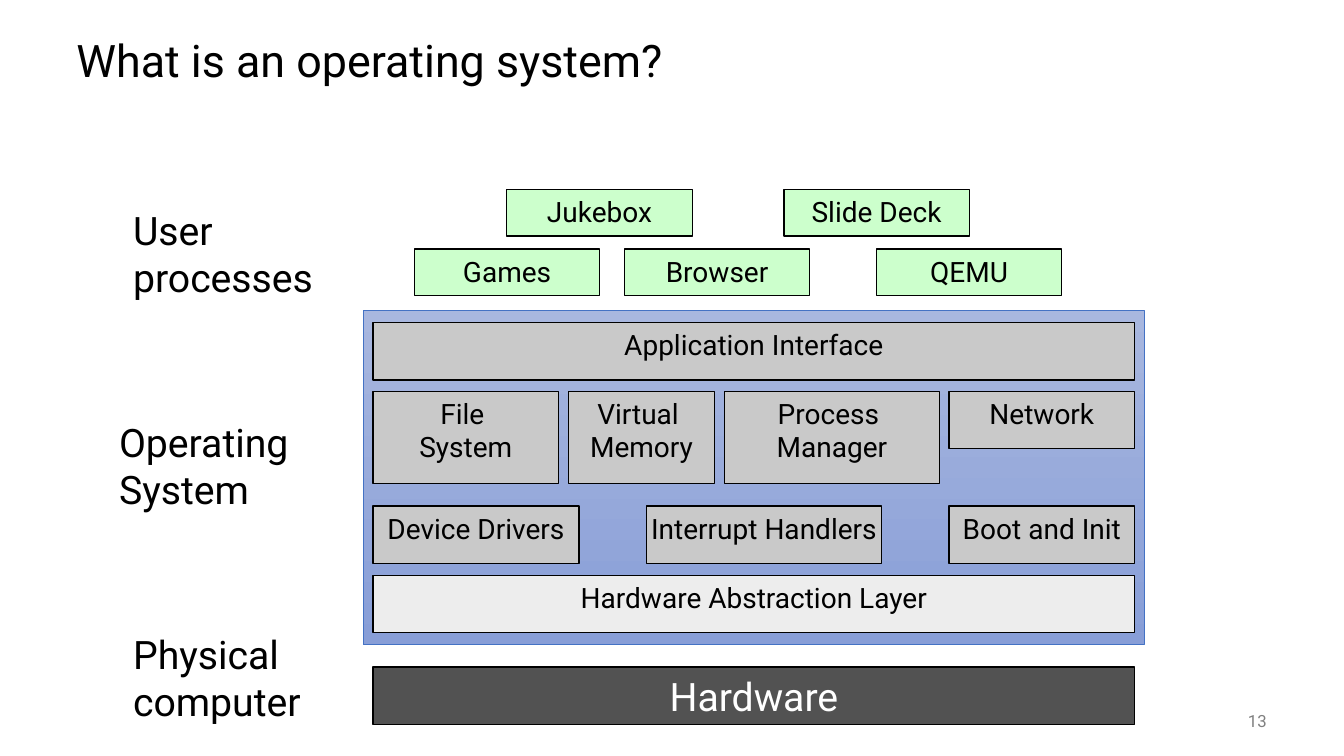
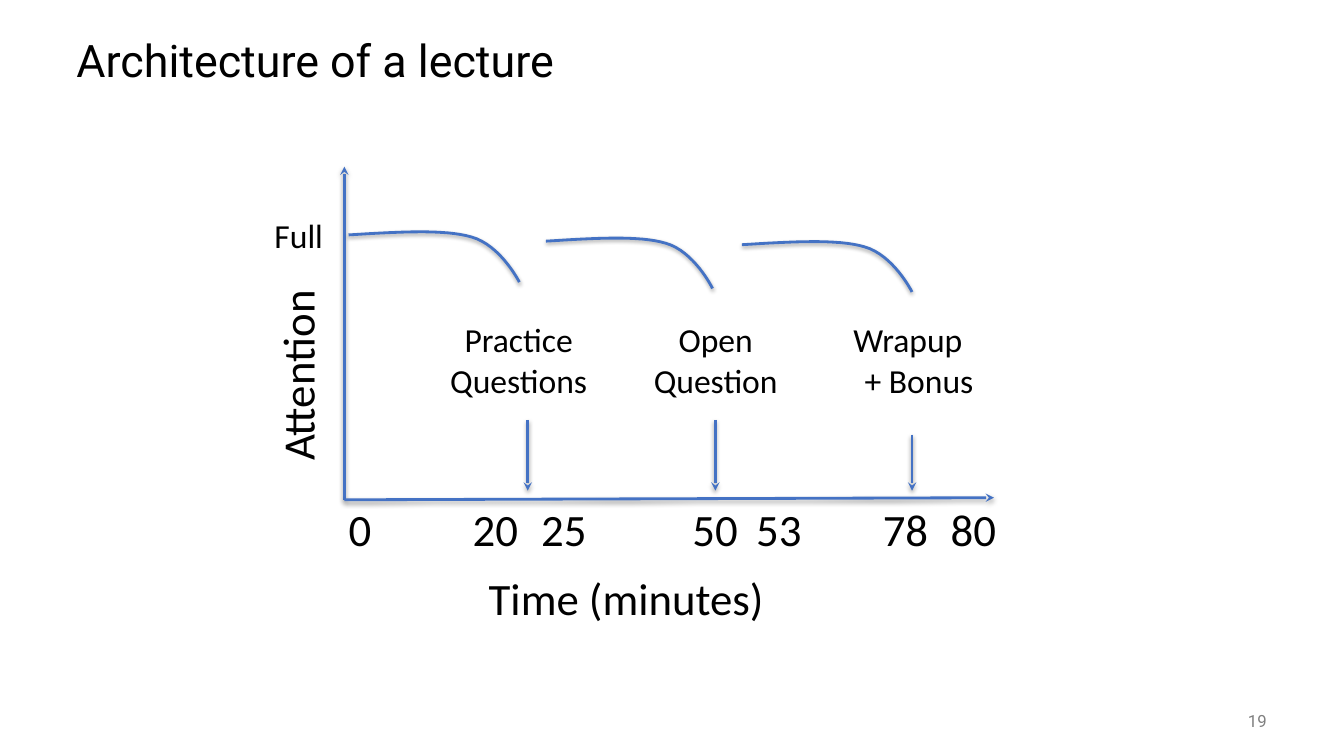
from lxml.etree import SubElement
from pptx import Presentation
from pptx.dml.color import RGBColor
from pptx.enum.shapes import MSO_CONNECTOR, MSO_SHAPE
from pptx.enum.text import MSO_ANCHOR, PP_ALIGN
from pptx.oxml.ns import qn
from pptx.util import Pt

HEADING_FONT = "Roboto"
CHART_FONT = "Calibri"
BLACK = "000000"
WHITE = "FFFFFF"
GRAY = "808080"
BLUE = "4472C4"
GREEN = "CCFFCC"
SILVER = "C9C9C9"
PALE = "EDEDED"
CHARCOAL = "525252"
PANEL_TOP = "A8B7DF"
PANEL_BOTTOM = "889ED7"


def color(value):
    return RGBColor.from_string(value)


def place(box):
    return [Pt(round(length, 2)) for length in box]


def write(paragraph, text, size, font=HEADING_FONT, ink=BLACK, align=PP_ALIGN.LEFT):
    paragraph.alignment = align
    for index, line in enumerate(text.split("\n")):
        if index:
            paragraph.add_line_break()
        run = paragraph.add_run()
        run.text = line
        run.font.size = Pt(size)
        run.font.name = font
        run.font.color.rgb = color(ink)


def add_label(slide, box, text, size, anchor=MSO_ANCHOR.TOP, **style):
    shape = slide.shapes.add_textbox(*place(box))
    frame = shape.text_frame
    frame.word_wrap = True
    frame.vertical_anchor = anchor
    write(frame.paragraphs[0], text, size, **style)
    return shape


def add_rectangle(slide, box, line, width):
    shape = slide.shapes.add_shape(MSO_SHAPE.RECTANGLE, *place(box))
    shape.shadow.inherit = False
    shape.line.color.rgb = color(line)
    shape.line.width = Pt(width)
    return shape


def add_block(slide, box, text, fill=SILVER, size=20, ink=BLACK):
    shape = add_rectangle(slide, box, BLACK, 1)
    shape.fill.solid()
    shape.fill.fore_color.rgb = color(fill)
    frame = shape.text_frame
    frame.word_wrap = False
    frame.vertical_anchor = MSO_ANCHOR.TOP
    write(frame.paragraphs[0], text, size, ink=ink, align=PP_ALIGN.CENTER)


def add_block_row(slide, left, top, width, blocks):
    gap = (width - sum(block[1] for block in blocks)) / (len(blocks) - 1)
    for text, block_width, height in blocks:
        add_block(slide, (left, top, block_width, height), text)
        left += block_width + gap


def style_stroke(shape):
    shape.line.color.rgb = color(BLUE)
    shape.line.width = Pt(2)
    properties = shape._element.spPr
    for effects in properties.findall(qn("a:effectLst")):
        properties.remove(effects)
    effects = SubElement(properties, qn("a:effectLst"))
    shadow = SubElement(
        effects, qn("a:outerShdw"), blurRad=str(Pt(3.1)), dist=str(Pt(1.6)),
        dir="5400000", rotWithShape="0")
    ink = SubElement(shadow, qn("a:srgbClr"), val=BLACK)
    SubElement(ink, qn("a:alpha"), val="37000")


def add_arrow(slide, *ends):
    arrow = slide.shapes.add_connector(MSO_CONNECTOR.STRAIGHT, *place(ends))
    style_stroke(arrow)
    SubElement(arrow.line._get_or_add_ln(), qn("a:tailEnd"), type="stealth")


def bezier(points, steps=16):
    for step in range(1, steps + 1):
        t = step / steps
        weights = ((1 - t) ** 3, 3 * t * (1 - t) ** 2, 3 * t * t * (1 - t), t ** 3)
        yield tuple(
            sum(weight * point[axis] for weight, point in zip(weights, points))
            for axis in (0, 1))


def add_attention_curve(slide, left, top, width):
    outline = ((0, 4.3), (0.28, 2.2), (0.56, 0), (0.72, 5.8),
               (0.89, 11.5), (1, 38), (1, 38))
    points = [(left + x * width, top + y) for x, y in outline]
    vertices = [*bezier(points[:4]), *bezier(points[3:])]
    builder = slide.shapes.build_freeform(*place(points[0]), scale=1.0)
    builder.add_line_segments([place(vertex) for vertex in vertices], close=False)
    curve = builder.convert_to_shape()
    curve.fill.background()
    style_stroke(curve)


def add_base_slide(presentation, title, number):
    slide = presentation.slides.add_slide(presentation.slide_layouts[6])
    heading = add_label(slide, (47.5, 18, 864, 54), title, 32, MSO_ANCHOR.MIDDLE)
    heading.text_frame.paragraphs[0].line_spacing = 0.9
    add_label(slide, (840, 500.5, 72, 29), number, 12, MSO_ANCHOR.MIDDLE,
              ink=GRAY, align=PP_ALIGN.RIGHT)
    return slide


def add_user_processes(slide, left, top):
    rows = (
        (0, ((66, "Jukebox"), (264, "Slide Deck"))),
        (42.5, ((0, "Games"), (150, "Browser"), (330, "QEMU"))),
    )
    for row_top, processes in rows:
        for offset, name in processes:
            add_block(slide, (left + offset, top + row_top, 132.5, 33), name, GREEN)


def add_operating_system(slide, left, top, width, height):
    panel = add_rectangle(slide, (left, top, width, height), BLUE, 0.5)
    panel.fill.gradient()
    panel.fill.gradient_angle = 270
    for stop, shade, position in zip(
            panel.fill.gradient_stops, (PANEL_TOP, PANEL_BOTTOM), (0, 1)):
        stop.color.rgb = color(shade)
        stop.position = position
    left, width = left + 7, width - 14
    add_block(slide, (left, top + 8.5, width, 41), "Application Interface")
    add_block_row(slide, left, top + 57.5, width, (
        ("File \nSystem", 132.5, 66),
        ("Virtual \nMemory", 104.5, 66),
        ("Process \nManager", 153.5, 66),
        ("Network", 132.5, 41),
    ))
    add_block_row(slide, left, top + 139.5, width, (
        ("Device Drivers", 147, 41),
        ("Interrupt Handlers", 168, 41),
        ("Boot and Init", 132.5, 41),
    ))
    add_block(slide, (left, top + 189, width, 41), "Hardware Abstraction Layer", PALE)


def build_system_slide(presentation):
    slide = add_base_slide(presentation, "What is an operating system?", "13")
    for left, top, text in (
            (88, 144, "User processes"),
            (78, 295.5, "Operating System"),
            (88, 447, "Physical computer")):
        add_label(slide, (left, top, 160, 75), text, 28)
    add_user_processes(slide, 296, 135.5)
    add_operating_system(slide, 259.5, 222, 558, 238.5)
    add_block(slide, (266.5, 476.5, 544, 41), "Hardware", CHARCOAL, 28, WHITE)


def add_activity(slide, box, text, arrow, align=PP_ALIGN.CENTER):
    label = add_label(slide, box, text, 24, font=CHART_FONT, align=align)
    x, start, end = arrow
    add_arrow(slide, x, start, x, end)
    return label


def add_attention_plot(slide, left, top, width, height):
    bottom = top + height
    add_arrow(slide, left, bottom, left, top)
    add_arrow(slide, left, bottom, left + width, bottom - 1.5)
    for offset, minute in ((-4, "0"), (84.5, "20"), (133.5, "25"), (241.5, "50"),
                           (287, "53"), (377.5, "78"), (426, "80")):
        add_label(slide, (left + offset, bottom - 2, 48, 46), minute, 32, font=CHART_FONT)
    for x, y, curve_width in ((3, 44.5, 122), (144, 49, 119), (284, 51.5, 121.5)):
        add_attention_curve(slide, left + x, top + y, curve_width)
    for x, label_width, text, arrow_x, arrow_y, align in (
            (44, 161, "Practice Questions", 131, 181, PP_ALIGN.CENTER),
            (205.5, 119.5, "Open\nQuestion", 265, 181, PP_ALIGN.CENTER),
            (356.5, 108, "Wrapup", 405.5, 191.5, PP_ALIGN.LEFT)):
        label = add_activity(
            slide, (left + x, top + 105.5, label_width, 65.5), text,
            (left + arrow_x, top + arrow_y, bottom - 6.5), align)
    write(label.text_frame.add_paragraph(), "+ Bonus", 24, CHART_FONT,
          align=PP_ALIGN.CENTER)
    add_label(slide, (left - 57, top + 31, 52, 36), "Full", 24, font=CHART_FONT)
    attention = add_label(slide, (left - 105, top + 123, 142.5, 46),
                          "Attention", 32, font=CHART_FONT)
    attention.rotation = 270
    add_label(slide, (left + 96, bottom + 47, 213, 46), "Time (minutes)", 32,
              font=CHART_FONT)


def build_lecture_slide(presentation):
    slide = add_base_slide(presentation, "Architecture of a lecture", "19")
    add_attention_plot(slide, 246, 119, 464, 238)


def main():
    presentation = Presentation()
    presentation.slide_width = Pt(960)
    presentation.slide_height = Pt(540)
    build_system_slide(presentation)
    build_lecture_slide(presentation)
    presentation.save("out.pptx")


if __name__ == "__main__":
    main()
